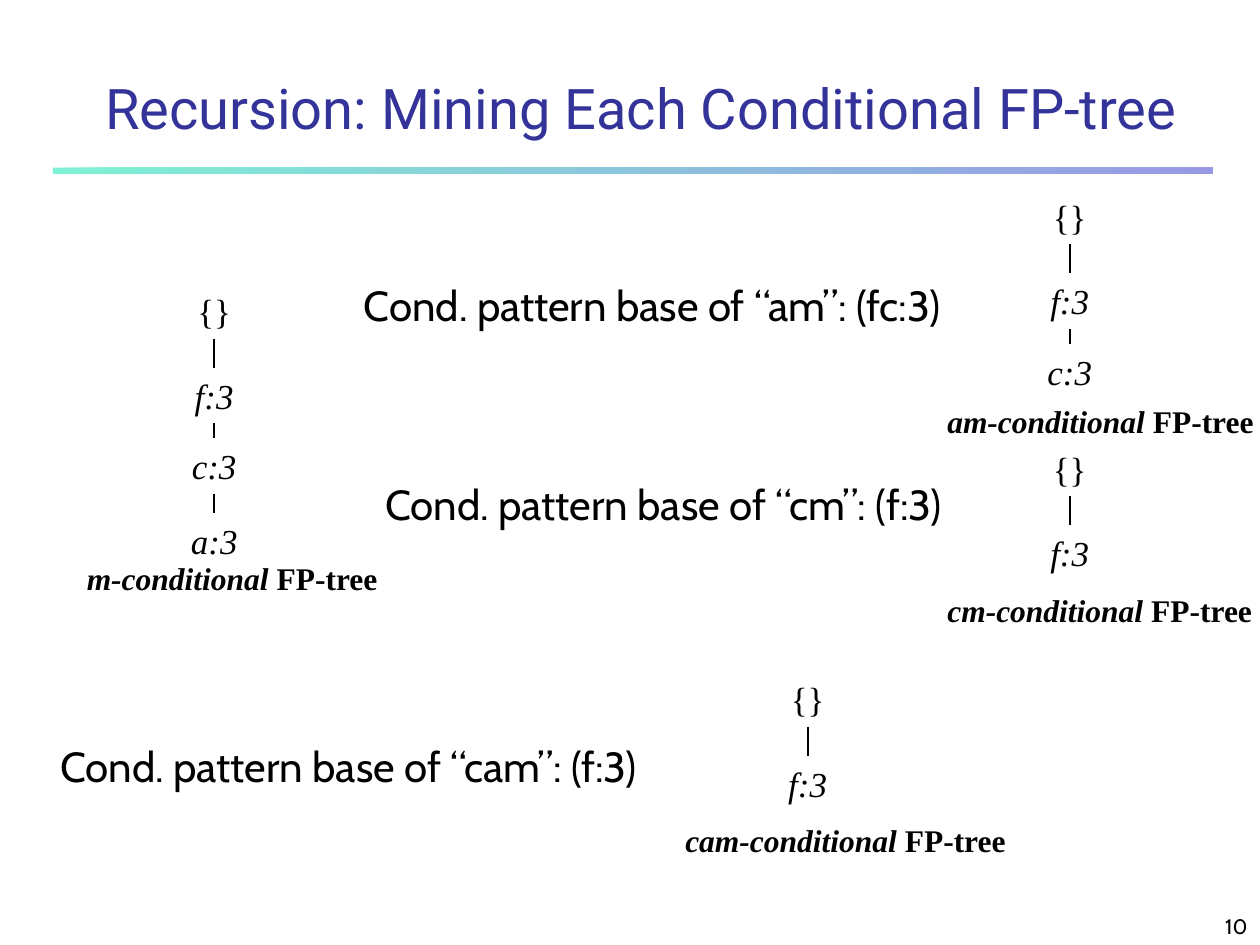
"""Build a slide showing the recursive mining of conditional FP-trees."""
from dataclasses import dataclass
from itertools import pairwise

from pptx import Presentation
from pptx.dml.color import RGBColor
from pptx.enum.shapes import MSO_CONNECTOR as Connector, MSO_SHAPE as Preset
from pptx.enum.text import MSO_ANCHOR as Anchor, MSO_AUTO_SIZE as AutoSize, PP_ALIGN as Align
from pptx.oxml.ns import qn
from pptx.oxml.xmlchemy import OxmlElement
from pptx.shapes.autoshape import Shape
from pptx.slide import Slide
from pptx.text.text import _Paragraph as Paragraph
from pptx.util import Pt

EMU_PER_PX = 9144


@dataclass(frozen=True)
class Theme:
    title_color: RGBColor = RGBColor(0x33, 0x33, 0x99)
    ink: RGBColor = RGBColor(0, 0, 0)
    bar_start: RGBColor = RGBColor(0x00, 0xE4, 0xA8)
    bar_end: RGBColor = RGBColor(0x33, 0x33, 0xCC)
    title_font: str = "Roboto"
    body_font: str = "Cabin"
    tree_font: str = "Times New Roman"
    title_size: int = 32
    body_size: int = 24
    node_size: int = 20
    caption_size: int = 18
    number_size: int = 12


@dataclass(frozen=True)
class Tree:
    name: str
    nodes: tuple[str, ...]
    center: int
    top: int
    caption_left: int
    caption_top: int
    caption_width: int


@dataclass(frozen=True)
class PatternBase:
    name: str
    pattern: str
    left: int
    top: int
    width: int


THEME = Theme()
NODE_WIDTHS = {"{}": 48, "f:3": 53, "c:3": 57, "a:3": 59}
NODE_OFFSETS = (0, 67, 123, 182)
NODE_HEIGHT = 44
TREES = (
    Tree("m", ("{}", "f:3", "c:3", "a:3"), 170, 225, 59, 439, 251),
    Tree("am", ("{}", "f:3", "c:3"), 849, 150, 742, 314, 263),
    Tree("cm", ("{}", "f:3"), 849, 350, 742, 464, 262),
    Tree("cam", ("{}", "f:3"), 641, 533, 534, 647, 275),
)
PATTERN_BASES = (
    PatternBase("am", "fc:3", 279, 217, 535),
    PatternBase("cm", "f:3", 296, 375, 516),
    PatternBase("cam", "f:3", 38, 583, 535),
)


def px(length: float) -> int:
    """Turn px into EMU."""
    return round(length * EMU_PER_PX)


def add_span(para: Paragraph, text: str, font: str, size: int, color: RGBColor = THEME.ink,
             bold: bool = False, italic: bool = False) -> None:
    """Append one formatted run."""
    span = para.add_run()
    span.text = text
    span.font.name = font
    span.font.size = Pt(size)
    span.font.color.rgb = color
    span.font.bold = bold
    span.font.italic = italic


def add_label(page: Slide, left: float, top: int, width: int, height: int) -> Shape:
    """Add an empty text box that grows with its unwrapped text."""
    box = page.shapes.add_textbox(px(left), px(top), px(width), px(height))
    box.text_frame.word_wrap = False
    box.text_frame.auto_size = AutoSize.SHAPE_TO_FIT_TEXT
    return box


def add_branch(page: Slide, parent: Shape, child: Shape) -> None:
    """Join the bottom of a parent node to the top of its child."""
    line = page.shapes.add_connector(Connector.STRAIGHT, 0, 0, 0, 0)
    line.begin_connect(parent, 2)
    line.end_connect(child, 0)
    line.line.color.rgb = THEME.ink
    line.line.width = Pt(1)
    line._element.spPr.append(OxmlElement("a:effectLst"))


def add_tree(page: Slide, tree: Tree) -> None:
    """Draw the nodes, branches and caption of one tree."""
    boxes = []
    for text, offset in zip(tree.nodes, NODE_OFFSETS):
        width = NODE_WIDTHS[text]
        box = add_label(page, tree.center - width / 2, tree.top + offset, width, NODE_HEIGHT)
        para = box.text_frame.paragraphs[0]
        para.alignment = Align.CENTER
        add_span(para, text, THEME.tree_font, THEME.node_size, italic=text != "{}")
        boxes.append(box)
    for parent, child in pairwise(boxes):
        add_branch(page, parent, child)
    caption = add_label(page, tree.caption_left, tree.caption_top, tree.caption_width, 40)
    para = caption.text_frame.paragraphs[0]
    add_span(para, f"{tree.name}-conditional ", THEME.tree_font, THEME.caption_size,
             bold=True, italic=True)
    add_span(para, "FP-tree", THEME.tree_font, THEME.caption_size, bold=True)


def add_pattern_base(page: Slide, base: PatternBase) -> None:
    """Write one conditional pattern base."""
    box = add_label(page, base.left, base.top, base.width, 50)
    add_span(box.text_frame.paragraphs[0],
             f"Cond. pattern base of “{base.name}”: ({base.pattern})",
             THEME.body_font, THEME.body_size)


def add_title_bar(page: Slide) -> None:
    """Draw the half-transparent gradient bar under the title."""
    bar = page.shapes.add_shape(Preset.RECTANGLE, px(42), px(133), px(920), px(5))
    bar.shadow.inherit = False
    bar.line.fill.background()
    bar.fill.gradient()
    bar.fill.gradient_angle = 0
    for stop, color, position in zip(bar.fill.gradient_stops,
                                     (THEME.bar_start, THEME.bar_end), (0, 1)):
        stop.color.rgb = color
        stop.position = position
    for color in bar._element.spPr.iter(qn("a:srgbClr")):
        alpha = OxmlElement("a:alpha")
        alpha.set("val", "50000")
        color.append(alpha)


def set_title(page: Slide, text: str) -> None:
    """Place and format the title."""
    title = page.shapes.title
    title.left, title.top, title.width, title.height = map(px, (42, 42, 934, 75))
    frame = title.text_frame
    frame.word_wrap = True
    frame.auto_size = AutoSize.NONE
    frame.vertical_anchor = Anchor.BOTTOM
    para = frame.paragraphs[0]
    para.alignment = Align.CENTER
    add_span(para, text, THEME.title_font, THEME.title_size, THEME.title_color)


def add_page_number(page: Slide, number: int) -> None:
    """Write the page number in the bottom right corner."""
    box = page.shapes.add_textbox(px(792), px(708), px(208), px(42))
    box.text_frame.word_wrap = True
    box.text_frame.vertical_anchor = Anchor.BOTTOM
    para = box.text_frame.paragraphs[0]
    para.alignment = Align.RIGHT
    add_span(para, str(number), THEME.body_font, THEME.number_size)


def main() -> None:
    """Build and save the deck."""
    deck = Presentation()
    deck.slide_width, deck.slide_height = px(1000), px(750)
    page = deck.slides.add_slide(deck.slide_layouts[5])
    add_title_bar(page)
    set_title(page, "Recursion: Mining Each Conditional FP-tree")
    for tree in TREES:
        add_tree(page, tree)
    for base in PATTERN_BASES:
        add_pattern_base(page, base)
    add_page_number(page, 10)
    deck.save("out.pptx")


if __name__ == "__main__":
    main()
